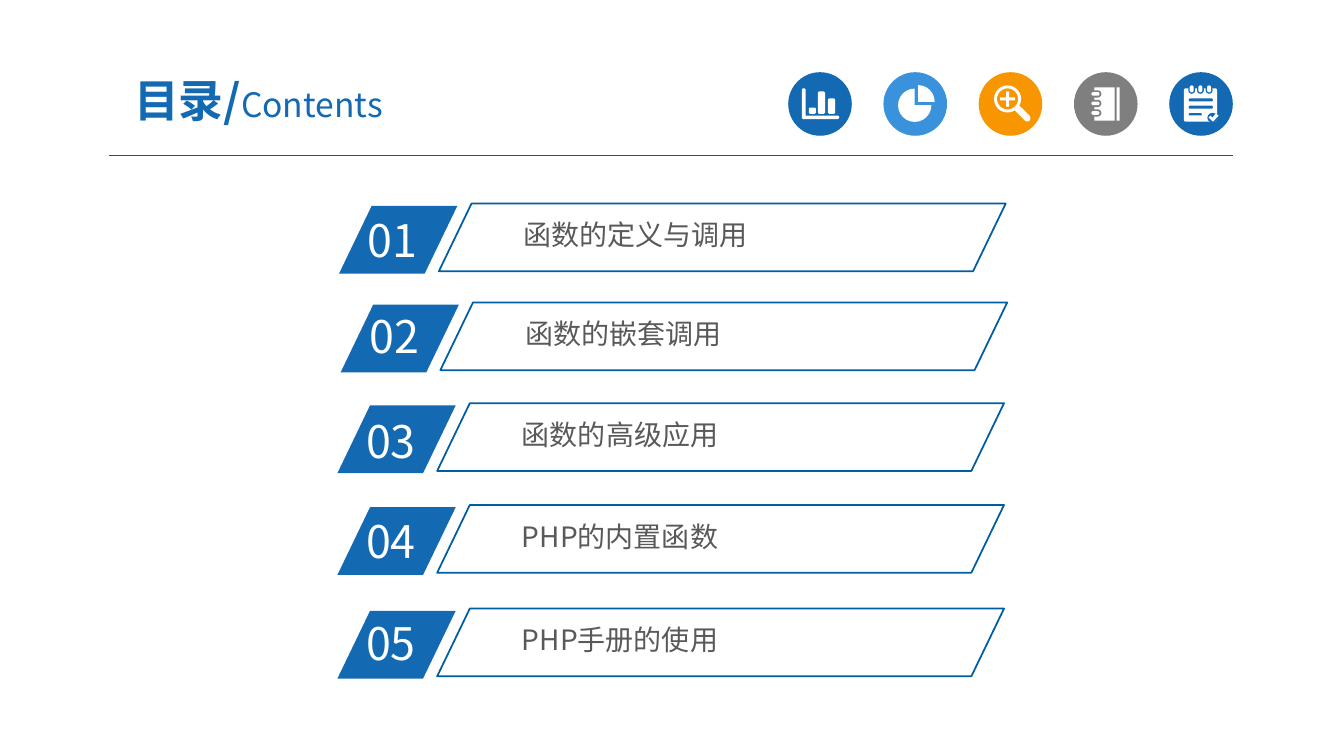
import pptx
import pptx.dml.color
import pptx.enum.shapes
import pptx.enum.text
import pptx.oxml
import pptx.oxml.ns
import pptx.util

Pt = pptx.util.Pt
RGB = pptx.dml.color.RGBColor
MSO = pptx.enum.shapes.MSO_SHAPE
ALIGN = pptx.enum.text.PP_ALIGN
ANCHOR = pptx.enum.text.MSO_ANCHOR

BLUE = RGB(0x13, 0x69, 0xB2)
SKY = RGB(0x39, 0x92, 0xDB)
ORANGE = RGB(0xF7, 0x96, 0x00)
GRAY = RGB(0x7F, 0x7F, 0x7F)
RULE = RGB(0x00, 0x5B, 0x9E)
OUTLINE = RGB(0x00, 0x5D, 0xA2)
TEXT = RGB(0x59, 0x59, 0x59)
WHITE = RGB(0xFF, 0xFF, 0xFF)
FONT = "Noto Sans CJK SC"


def bar_contour(x, y, w, h, c=0.8):
    """Outline of a bar with its corners cut by c."""
    return [(x + c, y), (x + w - c, y), (x + w, y + c), (x + w, y + h - c),
            (x + w - c, y + h), (x + c, y + h), (x, y + h - c), (x, y + c)]


AXES = [(9.8, 12.3), (10.4, 11.5), (11.8, 11.5), (12.4, 12.3), (12.4, 31), (35.6, 31),
        (36.4, 31.6), (36.4, 32.8), (35.6, 33.4), (10.6, 33.4), (9.8, 32.8)]
BAR_CONTOURS = [AXES] + [bar_contour(x, y, 5.1, 29.7 - y)
                         for x, y in ((14.7, 25.2), (21.2, 13.7), (28.4, 18.7))]
CHECK_MARK = [(28.1, 32.4), (29.5, 31), (31, 32.4), (33.1, 29.5), (35.3, 31), (31.3, 35.3)]

# Icon parts: shape, left, top, width, height, adjustments, cut out of the icon
PIE_ICON = [
    (MSO.PIE, 10.4, 11.7, 23.8, 23.8, [0, 162], False),
    (MSO.PIE, 12.8, 9.2, 23.8, 23.8, [162, 0], False),
]
ZOOM_ICON = [
    (MSO.DONUT, 10.9, 9.4, 19.4, 19.4, [0.11], False),
    (MSO.CROSS, 15.2, 13.7, 10.8, 10.8, [0.4], False),
]
BOOK_ICON = [
    (MSO.RECTANGLE, 14.6, 10.8, 14.4, 23.8, [], False),
    (MSO.RECTANGLE, 30.5, 10.8, 2.2, 23.8, [], False),
]
for y in (14.2, 21, 27.8):
    BOOK_ICON += [
        (MSO.ROUNDED_RECTANGLE, 12.4, y - 1.3, 7.2, 5.2, [0.5], True),
        (MSO.ROUNDED_RECTANGLE, 12.4, y, 5.8, 2.6, [0.5], False),
    ]
NOTE_ICON = [
    (MSO.ROUNDED_RECTANGLE, 10.4, 11.5, 23.8, 23.8, [0.06], False),
    (MSO.ROUNDED_RECTANGLE, 13.9, 18.7, 17.3, 2.2, [0.5], True),
    (MSO.ROUNDED_RECTANGLE, 13.9, 23.9, 17.3, 2.2, [0.5], True),
    (MSO.ROUNDED_RECTANGLE, 13.9, 29.3, 9.4, 1.6, [0.5], True),
    (MSO.OVAL, 27.2, 29, 7.5, 7, [], True),
]
for x in (14.6, 20.8, 27):
    NOTE_ICON += [
        (MSO.ROUNDED_RECTANGLE, x - 1, 9.4, 4.9, 6, [0.5], True),
        (MSO.ROUNDED_RECTANGLE, x, 9.4, 2.9, 5, [0.5], False),
    ]

# Circle color, preset parts, contours of the free outline on top
ICONS = [(BLUE, [], BAR_CONTOURS), (SKY, PIE_ICON, []), (ORANGE, ZOOM_ICON, []),
         (GRAY, BOOK_ICON, []), (BLUE, NOTE_ICON, [CHECK_MARK])]

# Left and top of each entry, drop of its number, and its wording
ENTRIES = [
    (313.5, 145.4, 3, "函数的定义与调用"),
    (314.6, 216, 0.8, "函数的嵌套调用"),
    (312.3, 288, 4.3, "函数的高级应用"),
    (312.3, 360.7, 2.4, "PHP的内置函数"),
    (312.3, 434.7, 1.6, "PHP手册的使用"),
]


def paint(s, fill=None, line=None, width=1.25):
    s.shadow.inherit = False
    if fill is None:
        s.fill.background()
    else:
        s.fill.solid()
        s.fill.fore_color.rgb = fill
    if line is None:
        s.line.fill.background()
    else:
        s.line.color.rgb = line
        s.line.width = Pt(width)


def add_shape(shapes, kind, box, adjustments=(), **colors):
    s = shapes.add_shape(kind, *map(Pt, box))
    for i, value in enumerate(adjustments):
        s.adjustments[i] = value
    paint(s, **colors)
    return s


def add_outline(shapes, left, top, contours):
    """Add one white freeform made of several closed contours."""
    builder = None
    for contour in contours:
        start, *rest = [(Pt(left + x), Pt(top + y)) for x, y in contour]
        if builder is None:
            builder = shapes.build_freeform(*start)
        else:
            builder.move_to(*start)
        builder.add_line_segments(rest, close=True)
    paint(builder.convert_to_shape(), fill=WHITE)


def add_text(shapes, box, runs, inset=(7.2, 3.6), align=ALIGN.LEFT, anchor=ANCHOR.TOP):
    """Add a one-paragraph text box; each run is (text, size, color, bold)."""
    tf = shapes.add_textbox(*map(Pt, box)).text_frame
    side, end = map(Pt, inset)
    frame = {"word_wrap": True, "vertical_anchor": anchor, "margin_left": side,
             "margin_right": side, "margin_top": end, "margin_bottom": end}
    for name, value in frame.items():
        setattr(tf, name, value)
    p = tf.paragraphs[0]
    p.alignment = align
    for text, size, color, bold in runs:
        r = p.add_run()
        r.text = text
        for name, value in {"size": Pt(size), "bold": bold, "name": FONT}.items():
            setattr(r.font, name, value)
        r.font.color.rgb = color
        ea = pptx.oxml.parse_xml(f'<a:ea {pptx.oxml.ns.nsdecls("a")} typeface="{FONT}"/>')
        r.font._element.find(pptx.oxml.ns.qn("a:latin")).addnext(ea)


def draw_icon(shapes, left, top, size, color, parts, contours):
    add_shape(shapes, MSO.OVAL, (left, top, size, size), fill=color)
    for kind, x, y, w, h, adjustments, cut in parts:
        add_shape(shapes, kind, (left + x, top + y, w, h), adjustments, fill=color if cut else WHITE)
    if parts is ZOOM_ICON:
        handle = add_shape(shapes, MSO.ROUNDED_RECTANGLE, (left + 24.4, top + 27.2, 14, 4.8), [0.5], fill=WHITE)
        handle.rotation = 45
    if contours:
        add_outline(shapes, left, top, contours)


def draw_header(shapes, left, top, width):
    rule = shapes.add_connector(pptx.enum.shapes.MSO_CONNECTOR.STRAIGHT,
                                Pt(left), Pt(top + 59.8), Pt(left + width), Pt(top + 59.8))
    rule.line.color.rgb = RULE
    rule.line.width = Pt(0.75)
    rule._element.spPr.append(pptx.oxml.parse_xml(f'<a:effectLst {pptx.oxml.ns.nsdecls("a")}/>'))
    size, pitch = 45.4, 68.04
    first = left + width - size - pitch * (len(ICONS) - 1)
    for i, icon in enumerate(ICONS):
        draw_icon(shapes, first + i * pitch, top, size, *icon)
    add_text(shapes, (left - 11.7, top - 6.5, 236.9, 51.8),
             [("目录/", 32, BLUE, True), ("Contents", 24, BLUE, False)],
             inset=(9.4, 5), align=ALIGN.CENTER, anchor=ANCHOR.MIDDLE)


def draw_entry(shapes, left, top, number, drop, title):
    """Draw a numbered tag and the outlined bar next to it."""
    tag_left = left - 71.3
    add_shape(shapes, MSO.PARALLELOGRAM, (tag_left, top + 1.6, 84.5, 48.4), [0.482], fill=BLUE)
    add_text(shapes, (tag_left + 13.4, top + drop, 80.6, 46.1), [(f"{number:02d}", 32, WHITE, False)])
    add_text(shapes, (left + 55.5, top + 7.2, 296.6, 30), [(title, 20, TEXT, False)], inset=(5, 2.9))
    add_shape(shapes, MSO.PARALLELOGRAM, (left, top, 404.9, 48.4), [0.482], line=OUTLINE)


def main():
    prs = pptx.Presentation()
    prs.slide_width, prs.slide_height = Pt(960), Pt(540)
    shapes = prs.slides.add_slide(prs.slide_layouts[6]).shapes
    draw_header(shapes, 77.8, 51.6, 802.8)
    for number, (left, top, drop, title) in enumerate(ENTRIES, 1):
        draw_entry(shapes, left, top, number, drop, title)
    prs.save("out.pptx")


if __name__ == "__main__":
    main()
